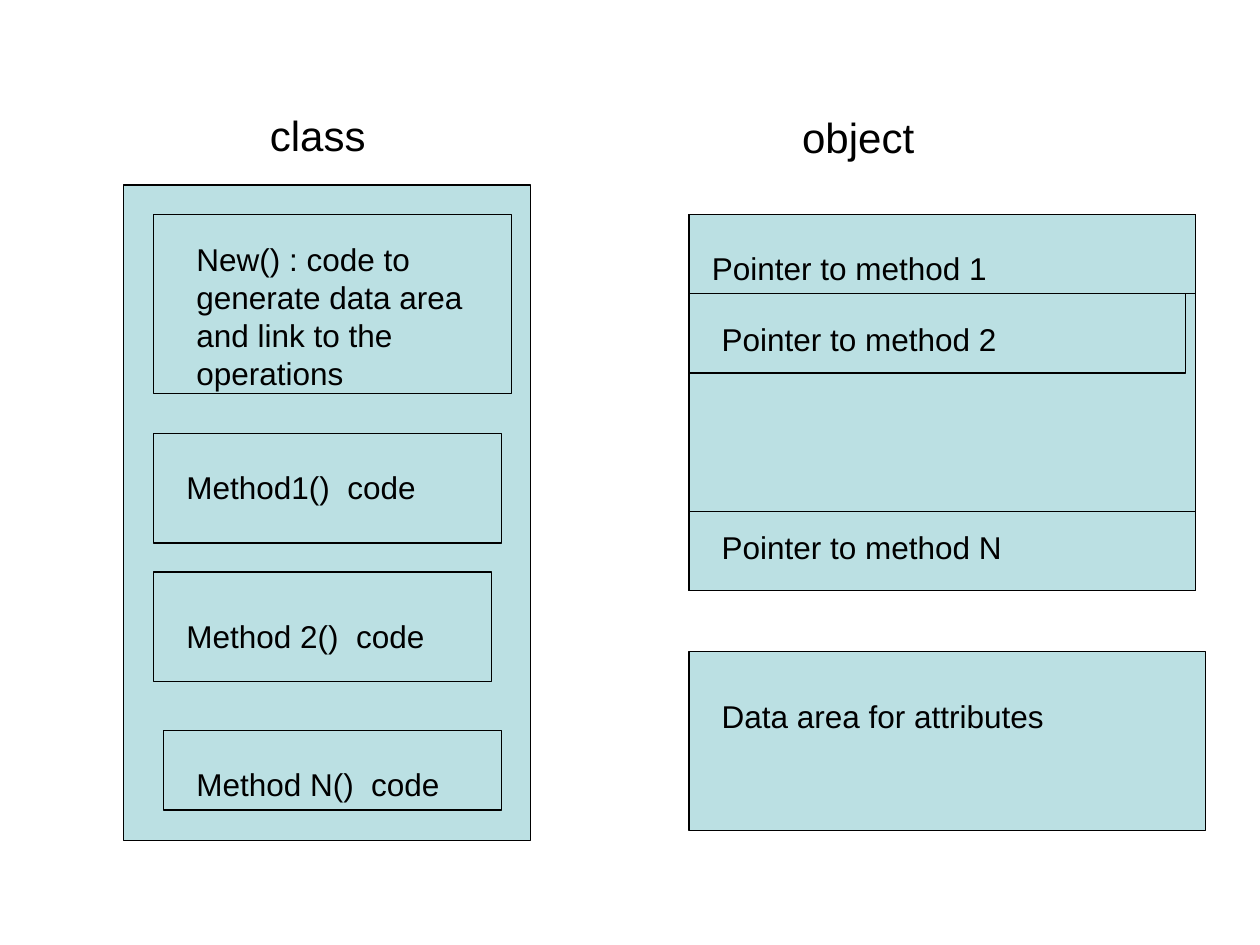
from pptx import Presentation
from pptx.dml.color import RGBColor
from pptx.enum.shapes import MSO_SHAPE
from pptx.enum.text import PP_ALIGN
from pptx.util import Cm, Pt

RECT = MSO_SHAPE.RECTANGLE
LEFT, CENTER = PP_ALIGN.LEFT, PP_ALIGN.CENTER
COLORS = {"fill": "BBE0E3", "ink": "000000"}
INK = RGBColor.from_string(COLORS["ink"])

prs = Presentation()
prs.slide_width, prs.slide_height = Cm(25.4), Cm(19.05)
s = prs.slides.add_slide(prs.slide_layouts[6])

class_boxes = [
    (2.49, 3.73, 8.2, 13.21),
    (3.1, 4.32, 7.21, 3.61),
    (3.1, 8.74, 7.01, 2.21),
    (3.1, 11.53, 6.81, 2.21),
    (3.3, 14.73, 6.81, 1.6),
]
object_boxes = [
    (13.89, 4.32, 10.21, 7.59),
    (13.89, 4.32, 10.21, 1.6),
    (13.89, 5.92, 10.01, 1.6),
    (13.89, 10.31, 10.21, 1.6),
    (13.89, 13.13, 10.41, 3.61),
]
for box in class_boxes + object_boxes:
    sp = s.shapes.add_shape(RECT, *map(Cm, box))
    sp.shadow.inherit = False
    sp.fill.solid()
    sp.fill.fore_color.rgb = RGBColor.from_string(COLORS["fill"])
    sp.line.color.rgb = INK
    sp.line.width = Pt(0.75)

headings = [
    ("class", 2.9, 2.08, 7.01, 1.27),
    ("object", 14.1, 2.13, 6.4, 1.27),
]
labels = [
    ("New() : code to generate data area and link to the operations", 3.71, 4.72, 5.99, 3.3),
    ("Method1()  code", 3.51, 9.32, 6.2, 1.02),
    ("Method 2()  code", 3.51, 12.32, 6.2, 1.02),
    ("Method N()  code", 3.71, 15.29, 5.79, 1.02),
    ("Pointer to method 1", 14.1, 4.9, 9.4, 1.02),
    ("Pointer to method 2", 14.3, 6.32, 7.8, 1.02),
    ("Pointer to method N", 14.3, 10.52, 8, 1.02),
    ("Data area for attributes", 14.3, 13.92, 9.19, 1.02),
]
for items, size, align in ((headings, 24, CENTER), (labels, 18, LEFT)):
    for text, *box in items:
        tf = s.shapes.add_textbox(*map(Cm, box)).text_frame
        tf.word_wrap = True
        p = tf.paragraphs[0]
        p.alignment = align
        r = p.add_run()
        r.text = text
        r.font.name = "Arial"
        r.font.size = Pt(size)
        r.font.color.rgb = INK

prs.save("out.pptx")
